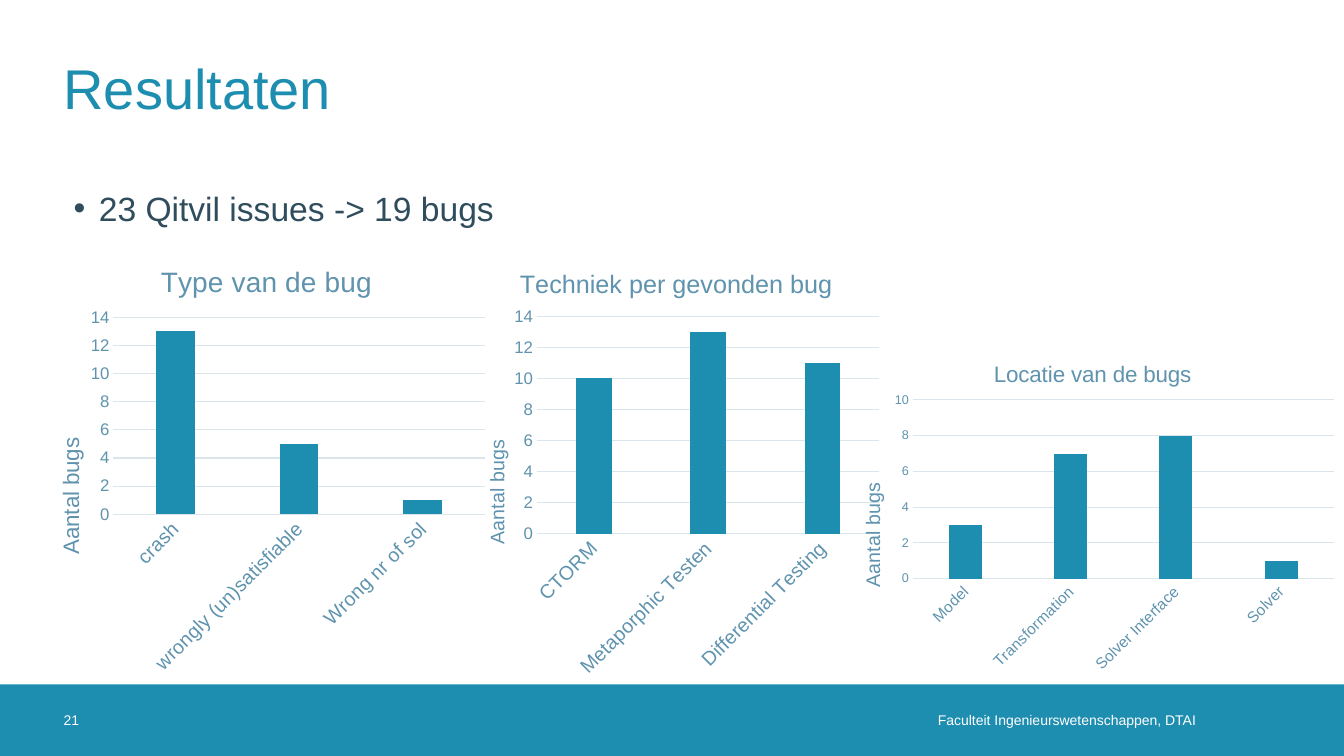
from lxml import etree
from pptx import Presentation
from pptx import util as u
from pptx.chart.data import CategoryChartData
from pptx.dml.color import RGBColor
from pptx.enum import chart as charts, shapes, text
from pptx.oxml import parse_xml
from pptx.oxml.ns import nsdecls

TEAL = RGBColor(0x1D, 0x8D, 0xB0)
SLATE = RGBColor(0x2F, 0x4D, 0x5D)
STEEL = RGBColor(0x5F, 0x93, 0xAE)
PALE = RGBColor(0xDA, 0xE6, 0xEC)
WHITE = RGBColor(0xFF, 0xFF, 0xFF)
MARGIN, CONTENT = 4.73, 90.55
BAR_TOP, BAR_HEIGHT = 90.53, 9.47

presentation = Presentation()
presentation.slide_width = u.Inches(13.33)
presentation.slide_height = u.Inches(7.5)
slide = presentation.slides.add_slide(presentation.slide_layouts[1])


def share(left, top, width, height):
    across, down = presentation.slide_width / 100, presentation.slide_height / 100
    return [int(left * across), int(top * down), int(width * across), int(height * down)]


def set_font(font, size, color):
    font.name = "Arial"
    font.size = u.Pt(size)
    font.bold = False
    font.color.rgb = color


bar = slide.shapes.add_shape(shapes.MSO_SHAPE.RECTANGLE, *share(0, BAR_TOP, 100, BAR_HEIGHT))
bar.shadow.inherit = False
bar.fill.solid()
bar.fill.fore_color.rgb = TEAL
bar.line.fill.background()

for wording, left, width, inset, alignment in [
    ("Faculteit Ingenieurswetenschappen, DTAI", 49.51, 40.96, 0.2, text.PP_ALIGN.RIGHT),
    ("21", MARGIN, 5.33, 0, text.PP_ALIGN.LEFT),
]:
    frame = slide.shapes.add_textbox(*share(left, BAR_TOP, width, BAR_HEIGHT)).text_frame
    frame.word_wrap = True
    frame.vertical_anchor = text.MSO_ANCHOR.MIDDLE
    frame.margin_left = frame.margin_top = frame.margin_bottom = 0
    frame.margin_right = u.Inches(inset)
    paragraph = frame.paragraphs[0]
    paragraph.text = wording
    paragraph.alignment = alignment
    set_font(paragraph.font, 10, WHITE)

title = slide.shapes.title
title.left, title.top, title.width, title.height = share(MARGIN, 3.07, CONTENT, 16.8)
frame = title.text_frame
frame.margin_left = frame.margin_right = frame.margin_top = frame.margin_bottom = 0
frame.vertical_anchor = text.MSO_ANCHOR.MIDDLE
paragraph = frame.paragraphs[0]
paragraph.text = "Resultaten"
paragraph.alignment = text.PP_ALIGN.LEFT
set_font(paragraph.font, 40, TEAL)

body = slide.placeholders[1]
body.left, body.top, body.width, body.height = share(MARGIN, 24.13, CONTENT, 65.07)
paragraph = body.text_frame.paragraphs[0]
paragraph.text = "23 Qitvil issues -> 19 bugs"
paragraph.space_before = u.Pt(10)
set_font(paragraph.font, 24, SLATE)
properties = paragraph._p.get_or_add_pPr()
properties.set("marL", str(u.Inches(0.25)))
properties.set("indent", str(-u.Inches(0.25)))

bug_charts = [
    dict(title="Type van de bug", place=(1.8, 31.33, 34.96, 59.2), top=14,
         bugs={"crash": 13, "wrongly (un)satisfiable": 5, "Wrong nr of sol": 1},
         sizes=(20, 16, 14, 12), title_at=(0.28, 0.05), axis_at=(0.06, 0.44),
         plot=(0.19, 0.18, 0.79, 0.44)),
    dict(title="Techniek per gevonden bug", place=(33.83, 31.87, 32.26, 58.67), top=14,
         bugs={"CTORM": 10, "Metaporphic Testen": 13, "Differential Testing": 11},
         sizes=(18, 14, 14, 12), title_at=(0.14, 0.05), axis_at=(0.06, 0.44),
         plot=(0.19, 0.17, 0.79, 0.49)),
    dict(title="Locatie van de bugs", place=(61.82, 44.27, 38.18, 45.47), top=10,
         bugs={"Model": 3, "Transformation": 7, "Solver Interface": 8, "Solver": 1},
         sizes=(16, 14, 11, 9), title_at=(0.31, 0.06), axis_at=(0.05, 0.42),
         plot=(0.16, 0.19, 0.82, 0.52)),
]

for item in bug_charts:
    data = CategoryChartData()
    data.categories = list(item["bugs"])
    data.add_series("Series 1", list(item["bugs"].values()))
    chart = slide.shapes.add_chart(
        charts.XL_CHART_TYPE.COLUMN_CLUSTERED, *share(*item["place"]), data).chart
    set_font(chart.font, 10, SLATE)
    chart.has_legend = False
    title_size, axis_title_size, category_size, value_size = item["sizes"]
    categories, values = chart.category_axis, chart.value_axis

    for owner, wording, size in [
        (chart.chart_title, item["title"], title_size),
        (values.axis_title, "Aantal bugs", axis_title_size),
    ]:
        paragraph = owner.text_frame.paragraphs[0]
        paragraph.text = wording
        set_font(paragraph.font, size, STEEL)
    values.axis_title.text_frame._txBody.bodyPr.set("rot", "-5400000")

    for axis, size in [(categories, category_size), (values, value_size)]:
        axis.major_tick_mark = axis.minor_tick_mark = charts.XL_TICK_MARK.NONE
        set_font(axis.tick_labels.font, size, STEEL)
    categories._element.txPr.bodyPr.set("rot", "-2700000")
    values.minimum_scale, values.maximum_scale, values.major_unit = 0, item["top"], 2
    values.format.line.fill.background()
    for line in (categories.format.line, values.major_gridlines.format.line):
        line.color.rgb = PALE
        line.width = u.Pt(0.75)

    plot = chart.plots[0]
    plot.gap_width, plot.overlap, plot.vary_by_categories = 219, -27, False
    fill = plot.series[0].format.fill
    fill.solid()
    fill.fore_color.rgb = TEAL

    for element, numbers in [
        (chart.chart_title._element, item["title_at"]),
        (values.axis_title._element, item["axis_at"]),
        (chart._chartSpace.chart.plotArea, item["plot"]),
    ]:
        for old in element.findall("{*}layout"):
            element.remove(old)
        layout = parse_xml(f"<c:layout {nsdecls('c')}><c:manualLayout/></c:layout>")
        settings = [("xMode", "edge"), ("yMode", "edge"), *zip("xywh", numbers)]
        if len(numbers) == 4:
            settings.insert(0, ("layoutTarget", "inner"))
        for name, setting in settings:
            tag = etree.QName(layout).namespace
            etree.SubElement(layout[0], f"{{{tag}}}{name}").set("val", str(setting))
        text_element = element.find("{*}tx")
        element.insert(0 if text_element is None else 1, layout)

presentation.save("out.pptx")
